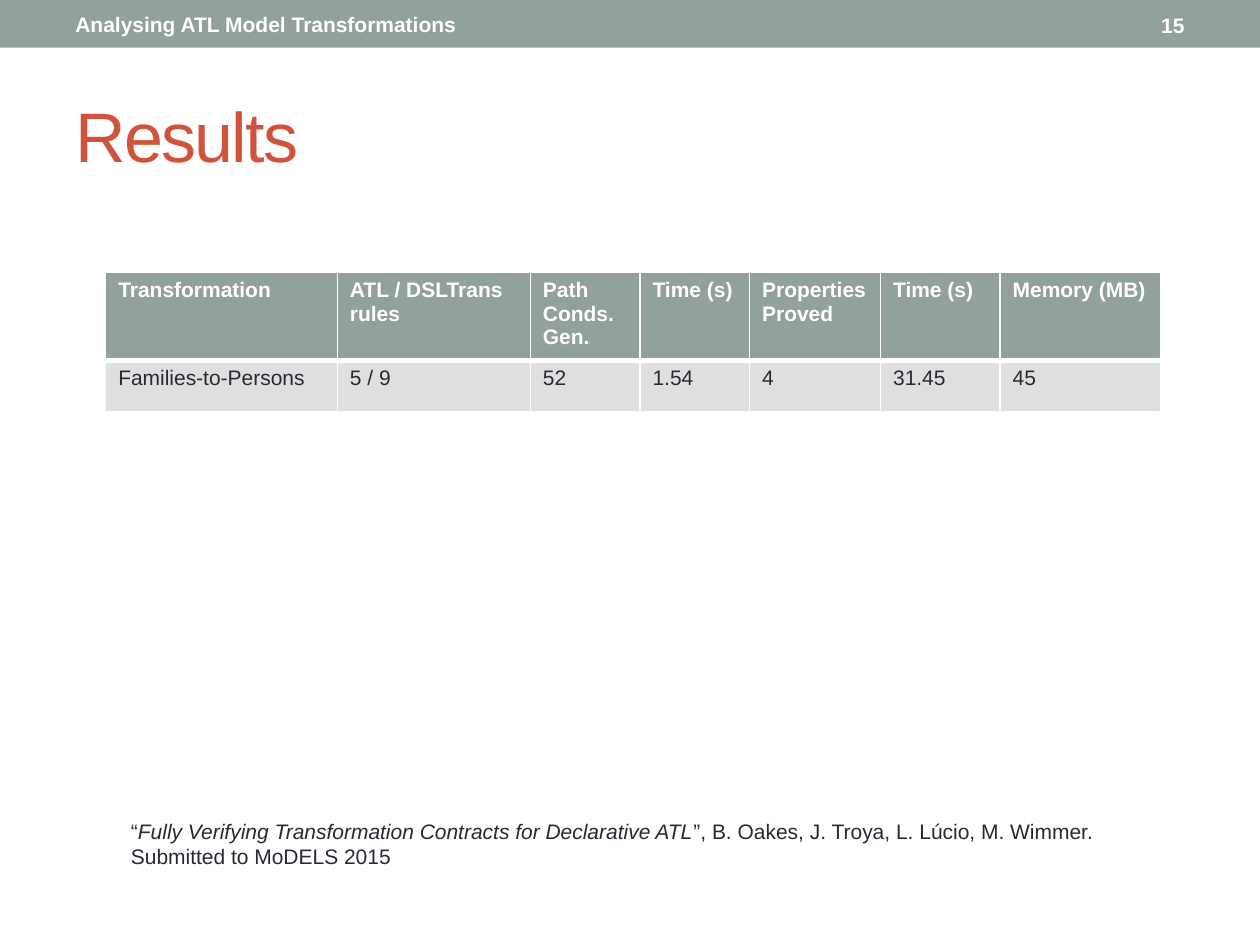
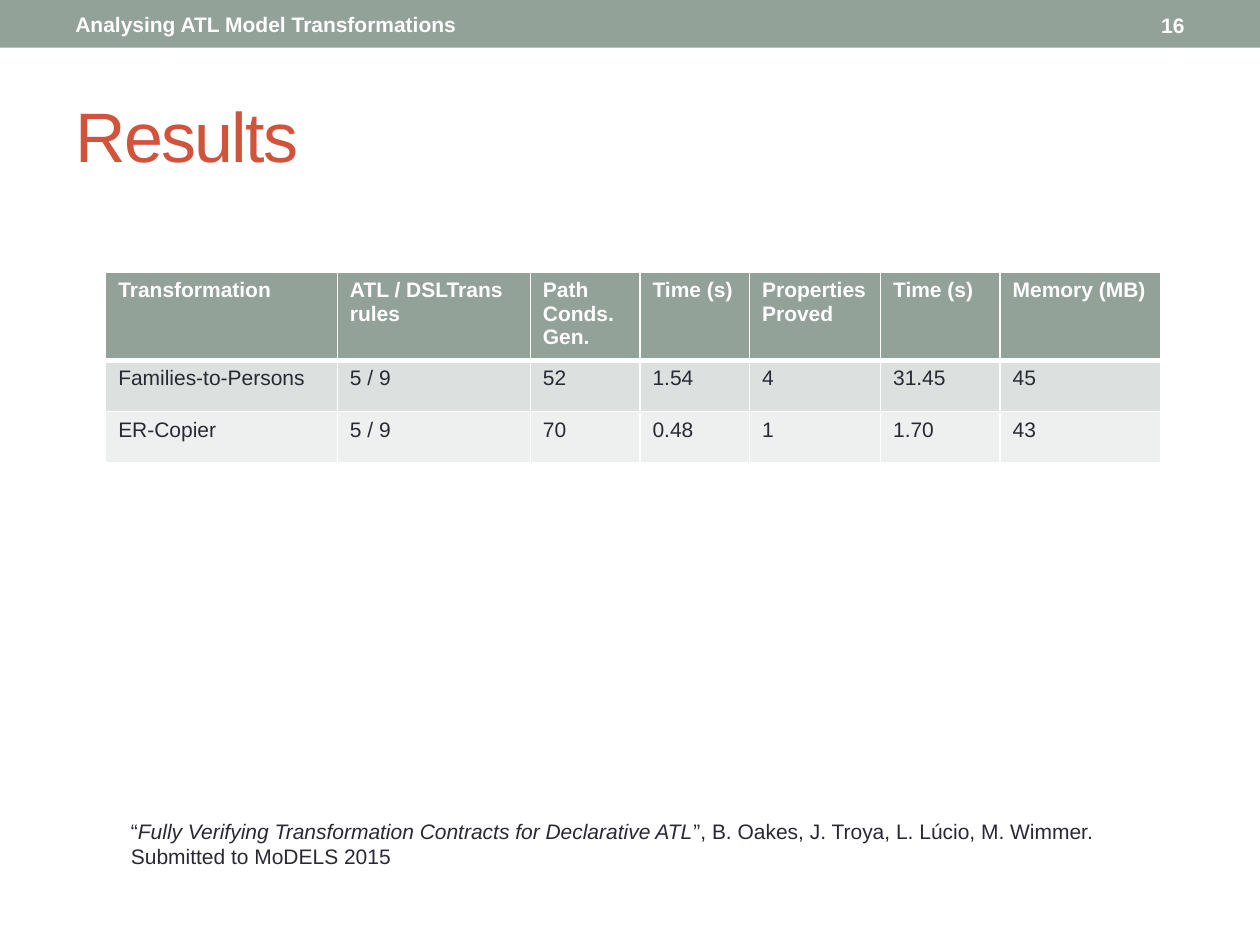
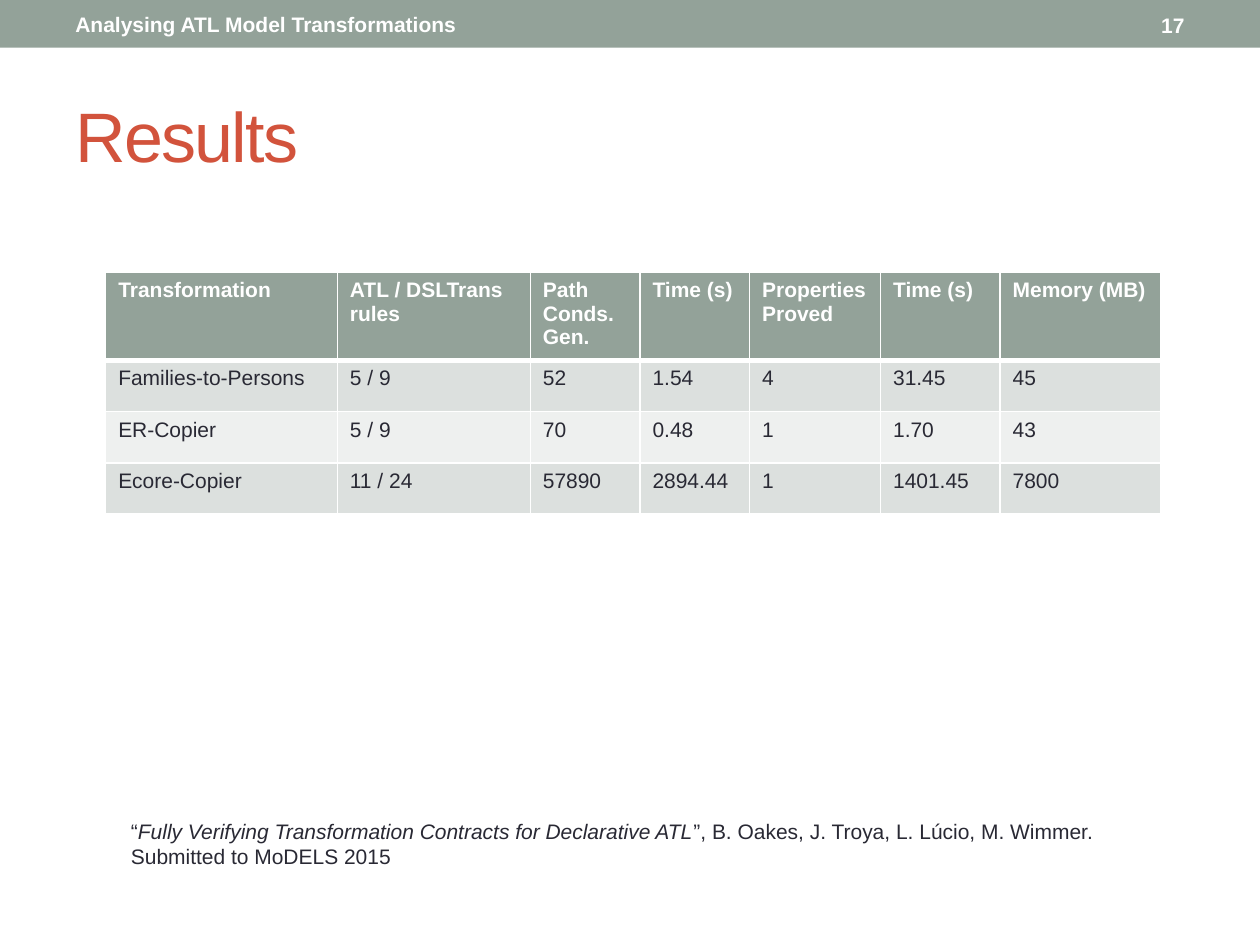
from collections import namedtuple
from dataclasses import dataclass

from lxml.etree import SubElement
from pptx import Presentation
from pptx.dml.color import RGBColor
from pptx.enum.shapes import MSO_SHAPE
from pptx.enum.text import MSO_ANCHOR, MSO_AUTO_SIZE, PP_ALIGN
from pptx.oxml import parse_xml
from pptx.oxml.ns import nsdecls, qn
from pptx.util import Cm, Pt


@dataclass(frozen=True)
class Theme:
    font: str = "Arial"
    sage: str = "93A299"
    rust: str = "D2533C"
    ink: str = "292934"
    white: str = "FFFFFF"
    bands: tuple = ("DCE0DE", "EEF0EF")
    head: int = 40
    body: int = 12
    thin: int = 1
    thick: int = 3


Box = namedtuple("Box", "x y w h")  # centimetres
LOOK = Theme()
PAGE = Box(0, 0, 25.4, 19.05)
FIRST = 15

BANNER = "Analysing ATL Model Transformations"
HEADS = ("Transformation", "ATL / DSLTrans rules", "Path Conds. Gen.",
         "Time (s)", "Properties Proved", "Time (s)", "Memory (MB)")
WIDTHS = (4.67, 3.89, 2.21, 2.21, 2.64, 2.41, 3.23)
TESTS = (
    ("Families-to-Persons", "5 / 9", "52", "1.54", "4", "31.45", "45"),
    ("ER-Copier", "5 / 9", "70", "0.48", "1", "1.70", "43"),
    ("Ecore-Copier", "11 / 24", "57890", "2894.44", "1", "1401.45", "7800"),
)
PAPER = "Fully Verifying Transformation Contracts for Declarative ATL"
CREDIT = (("“", PAPER, "”, B. Oakes, J. Troya, L. Lúcio, M. Wimmer. "),
          ("Submitted to MoDELS 2015",))


def place(box):
    return [Cm(n) for n in box]


def style(run, color, size=LOOK.body, bold=False, italic=False):
    font = run.font
    font.name, font.size = LOOK.font, Pt(size)
    font.bold, font.italic = bold, italic
    font.color.rgb = RGBColor.from_string(color)


def paint(fill, color):
    fill.solid()
    fill.fore_color.rgb = RGBColor.from_string(color)


def label(slide, box, text, align=PP_ALIGN.LEFT):
    """White bold text on the top band."""
    frame = slide.shapes.add_textbox(*place(box)).text_frame
    frame.word_wrap = True
    frame.vertical_anchor = MSO_ANCHOR.MIDDLE
    frame.text = text
    para = frame.paragraphs[0]
    para.alignment = align
    style(para.runs[0], LOOK.white, bold=True)


def banner(slide, box, number):
    band = slide.shapes.add_shape(MSO_SHAPE.RECTANGLE, *place(box))
    band.shadow.inherit = False
    paint(band.fill, LOOK.sage)
    band.line.fill.background()
    label(slide, Box(box.x + 1.27, box.y + 0.03, 17.25, 0.91), BANNER)
    label(slide, Box(box.x + box.w - 4.24, box.y + 0.05, 2.97, 0.91),
          str(number), PP_ALIGN.RIGHT)


def title(slide, box, text):
    shape = slide.shapes.title
    shape.left, shape.top, shape.width, shape.height = place(box)
    frame = shape.text_frame
    frame.text = text
    frame.auto_size = MSO_AUTO_SIZE.NONE
    frame.vertical_anchor = MSO_ANCHOR.MIDDLE
    para = frame.paragraphs[0]
    para.alignment = PP_ALIGN.LEFT
    style(para.runs[0], LOOK.rust, LOOK.head)
    para.runs[0].font._element.set("spc", "-100")  # tighter letters


def border(cell, top, base):
    """White lines round a cell; they must precede its fill in the XML."""
    props = cell._tc.get_or_add_tcPr()
    sides = (("L", LOOK.thin), ("R", LOOK.thin), ("T", top), ("B", base))
    for spot, (side, width) in enumerate(sides):
        line = parse_xml(f'<a:ln{side} {nsdecls("a")} w="{Pt(width)}"/>')
        solid = SubElement(line, qn("a:solidFill"))
        SubElement(solid, qn("a:srgbClr"), val=LOOK.white)
        props.insert(spot, line)


def results(slide, box, tests):
    rows = (HEADS, *tests)
    high = (1.65,) + (1.03,) * len(tests)
    area = box._replace(w=sum(WIDTHS), h=sum(high))
    grid = slide.shapes.add_table(len(rows), len(HEADS), *place(area)).table
    for col, width in zip(grid.columns, WIDTHS):
        col.width = Cm(width)
    for r, texts in enumerate(rows):
        grid.rows[r].height = Cm(high[r])
        head = r == 0
        fill = LOOK.sage if head else LOOK.bands[(r - 1) % 2]
        for c, text in enumerate(texts):
            cell = grid.cell(r, c)
            cell.text = text
            style(cell.text_frame.paragraphs[0].runs[0],
                  LOOK.white if head else LOOK.ink, bold=head)
            paint(cell.fill, fill)
            border(cell, LOOK.thick if r == 1 else LOOK.thin,
                   LOOK.thick if head else LOOK.thin)


def credit(slide, box):
    frame = slide.shapes.add_textbox(*place(box)).text_frame
    frame.word_wrap = False
    frame.auto_size = MSO_AUTO_SIZE.SHAPE_TO_FIT_TEXT
    for n, parts in enumerate(CREDIT):
        para = frame.add_paragraph() if n else frame.paragraphs[0]
        for part in parts:
            run = para.add_run()
            run.text = part
            style(run, LOOK.ink, italic=part == PAPER)


def build(deck, number, tests):
    slide = deck.slides.add_slide(deck.slide_layouts.get_by_name("Title Only"))
    banner(slide, PAGE._replace(h=0.96), number)
    title(slide, Box(1.27, 1.35, 22.86, 2.74), "Results")
    results(slide, Box(2.13, 5.49, 0, 0), tests)
    credit(slide, Box(2.39, 16.38, 19.99, 1.28))


deck = Presentation()
deck.slide_width, deck.slide_height = Cm(PAGE.w), Cm(PAGE.h)
# Each slide shows one more test
for step in range(len(TESTS)):
    build(deck, FIRST + step, TESTS[:step + 1])
deck.save("out.pptx")
